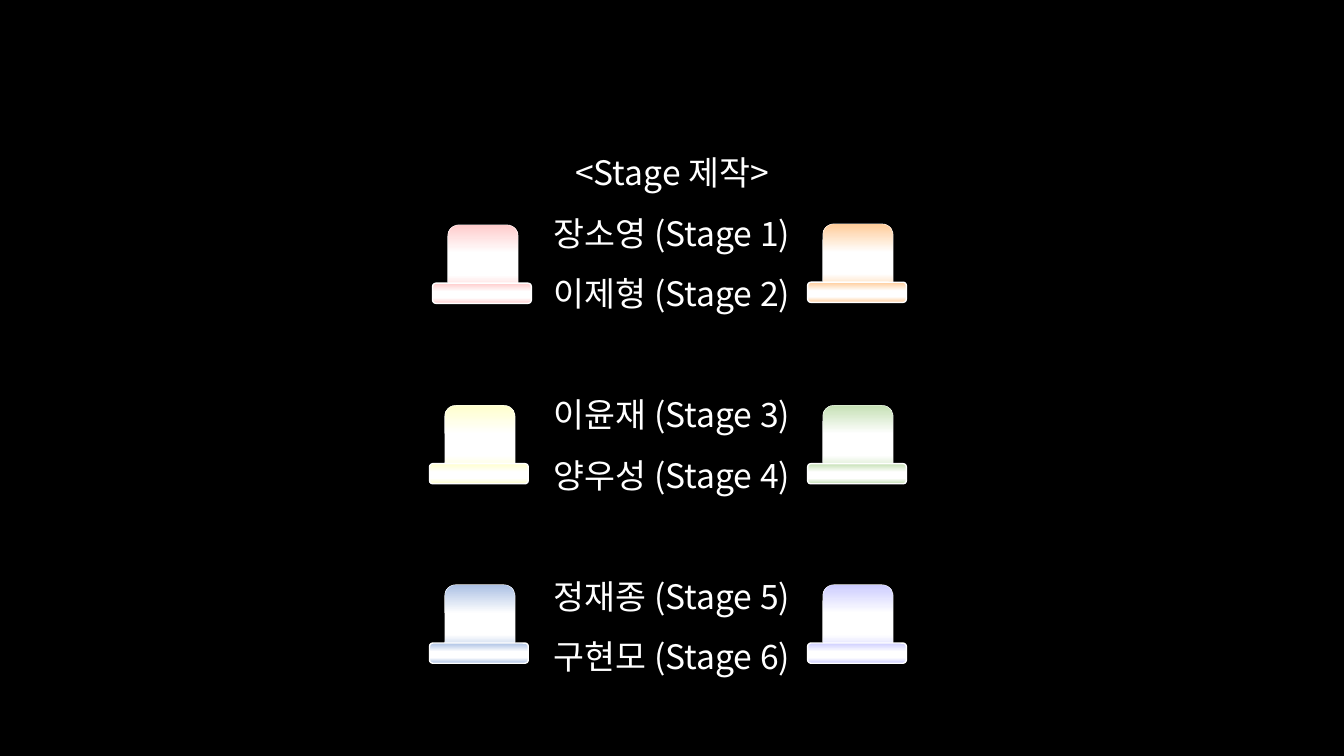
from lxml import etree
from pptx import Presentation
from pptx import util as u
from pptx.dml import color as c
from pptx.enum import shapes, text
from pptx.oxml import ns

COLORS = {
    "background": "000000", "white": "FFFFFF",
    "pink": "FFCCCC", "orange": "FFCC99", "yellow": "FFFFCC",
    "green": "C5E0B4", "blue": "ABC0E4", "violet": "CCCCFF",
}
FONT = "Noto Sans CJK KR"
LINE_PITCH = 43.2
CREDITS = [
    ["<Stage 제작>", "장소영 (Stage 1)", "이제형 (Stage 2)"],
    ["이윤재 (Stage 3)", "양우성 (Stage 4)"],
    ["정재종 (Stage 5)", "구현모 (Stage 6)"],
]
HATS = [
    ("pink", 4.29, 2.23), ("orange", 8.01, 2.22),
    ("yellow", 4.26, 4.02), ("green", 8.01, 4.02),
    ("blue", 4.26, 5.8), ("violet", 8.01, 5.8),
]


def rgb(name):
    """Return the named colour."""
    return c.RGBColor.from_string(COLORS[name])


def fill_gradient(shape, color):
    """Fill a shape from colour to white and back, top to bottom."""
    shape.fill.gradient()
    shape.fill.gradient_angle = 270
    stops = shape._element.spPr.find(".//" + ns.qn("a:gsLst"))
    for stop in list(stops):
        stops.remove(stop)
    for percent, name in ((0, color), (42, "white"), (73, "white"), (100, color)):
        stop = etree.SubElement(stops, ns.qn("a:gs"), pos=str(percent * 1000))
        etree.SubElement(stop, ns.qn("a:srgbClr"), val=COLORS[name])


def add_hat_part(group, color, left, top, width, height, line_width):
    """Add one rounded part of a hat."""
    shape = group.shapes.add_shape(
        shapes.MSO_SHAPE.ROUNDED_RECTANGLE,
        u.Inches(left), u.Inches(top), u.Inches(width), u.Inches(height))
    shape.shadow.inherit = False
    fill_gradient(shape, color)
    shape.line.color.rgb = rgb("white")
    shape.line.width = u.Pt(line_width)


def add_hat(slide, color, left, top):
    """Add a hat made of a crown and a brim."""
    group = slide.shapes.add_group_shape()
    add_hat_part(group, color, left + 0.15, top, 0.7, 0.68, 0.25)
    add_hat_part(group, color, left, top + 0.58, 0.98, 0.2, 1)


def write_line(paragraph, content, size=24, color="white", space_before=0):
    """Write one centred credit line."""
    paragraph.alignment = text.PP_ALIGN.CENTER
    paragraph.line_spacing = 1.5
    if space_before:
        paragraph.space_before = u.Pt(space_before)
    run = paragraph.add_run()
    run.text = content
    run.font.size = u.Pt(size)
    run.font.name = FONT
    run.font.color.rgb = rgb(color)
    etree.SubElement(run._r.get_or_add_rPr(), ns.qn("a:ea"), typeface=FONT)


def add_credits(slide, left, top, width, height):
    """Add the credit lines, with a line's gap between the groups."""
    box = slide.shapes.add_textbox(
        u.Inches(left), u.Inches(top), u.Inches(width), u.Inches(height))
    frame = box.text_frame
    frame.word_wrap = True
    paragraph = frame.paragraphs[0]
    for group_index, group in enumerate(CREDITS):
        for line_index, content in enumerate(group):
            if group_index or line_index:
                paragraph = frame.add_paragraph()
            gap = LINE_PITCH if group_index and not line_index else 0
            write_line(paragraph, content, space_before=gap)


def main():
    """Build and save the credits slide."""
    presentation = Presentation()
    presentation.slide_width = u.Inches(13.33)
    presentation.slide_height = u.Inches(7.5)
    slide = presentation.slides.add_slide(presentation.slide_layouts[6])
    slide.background.fill.solid()
    slide.background.fill.fore_color.rgb = rgb("background")
    add_credits(slide, 2.5, 1.26, 8.33, 5.5)
    for color, left, top in HATS:
        add_hat(slide, color, left, top)
    presentation.save("out.pptx")


if __name__ == "__main__":
    main()
